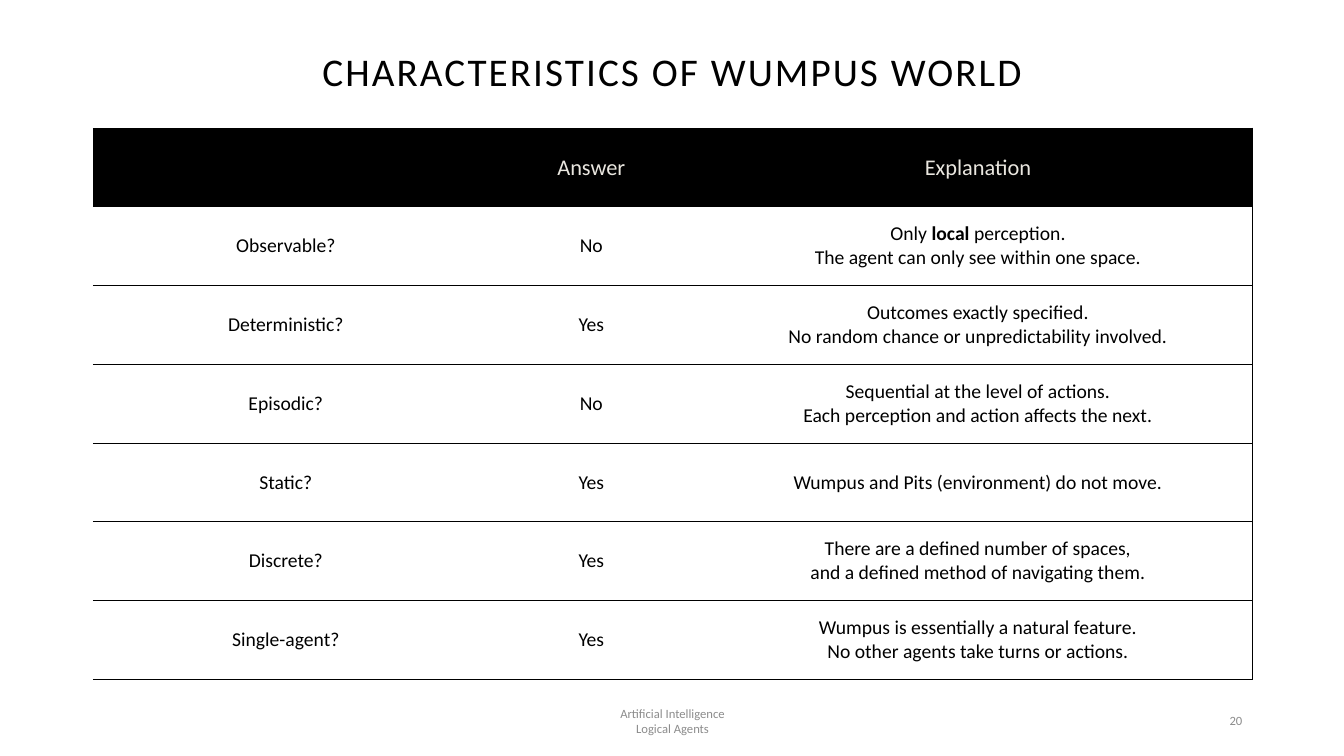
from pptx import Presentation
from pptx.dml.color import RGBColor
from pptx.enum import text
from pptx.oxml import parse_xml
from pptx.oxml.ns import nsdecls
from pptx.util import Inches, Pt

BLACK = RGBColor(0x00, 0x00, 0x00)
CREAM = RGBColor(0xE9, 0xE6, 0xDF)
GRAY = RGBColor(0x8C, 0x8C, 0x8C)
WHITE = RGBColor(0xFF, 0xFF, 0xFF)

TITLE = {"size": Pt(28), "color": BLACK}
HEADER = {"size": Pt(16), "color": CREAM}
BODY = {"size": Pt(14), "color": BLACK}
FOOTER = {"size": Pt(9), "color": GRAY}

COLUMN_WIDTHS = (3.83, 2.23, 5.44)
ROW_HEIGHT = 5.47 / 7
HEADINGS = ("", "Answer", "Explanation")
# Words between asterisks are bold.
CHARACTERISTICS = [
    ("Observable?", "No",
     "Only *local* perception.\nThe agent can only see within one space."),
    ("Deterministic?", "Yes",
     "Outcomes exactly specified.\nNo random chance or unpredictability involved."),
    ("Episodic?", "No",
     "Sequential at the level of actions.\nEach perception and action affects the next."),
    ("Static?", "Yes", "Wumpus and Pits (environment) do not move."),
    ("Discrete?", "Yes",
     "There are a defined number of spaces,\nand a defined method of navigating them."),
    ("Single-agent?", "Yes",
     "Wumpus is essentially a natural feature.\nNo other agents take turns or actions."),
]


class SlideBuilder:
    font_name = "Calibri"
    border_width = Pt(0.5)

    def __init__(self, deck):
        self.page = deck.slides.add_slide(deck.slide_layouts[6])
        self.page.background.fill.solid()
        self.page.background.fill.fore_color.rgb = WHITE

    def fill_text(self, frame, content, style, align=text.PP_ALIGN.CENTER):
        """Fill a text frame, one paragraph a line, with *bold* marks."""
        for index, line in enumerate(content.split("\n")):
            para = frame.add_paragraph() if index else frame.paragraphs[0]
            para.alignment = align
            for part, words in enumerate(line.split("*")):
                if not words:
                    continue
                span = para.add_run()
                span.text = words
                span.font.color.rgb = style["color"]
                formats = {"name": self.font_name, "size": style["size"], "bold": part % 2 == 1}
                for key, value in formats.items():
                    setattr(span.font, key, value)
        return frame

    def text_box(self, bounds, content, style, align=text.PP_ALIGN.CENTER):
        box = self.page.shapes.add_textbox(*map(Inches, bounds))
        box.text_frame.word_wrap = True
        box.text_frame.vertical_anchor = text.MSO_ANCHOR.MIDDLE
        return self.fill_text(box.text_frame, content, style, align)

    def title(self, bounds, content):
        para = self.text_box(bounds, content, TITLE).paragraphs[0]
        para.line_spacing = 0.9
        para.runs[0].font._element.set("spc", "150")

    def borders(self, cell, sides):
        """Draw the named sides in black and clear the others."""
        properties = cell._tc.get_or_add_tcPr()
        for side in "LRTB":
            paint = (f'<a:solidFill><a:srgbClr val="{BLACK}"/></a:solidFill>'
                     if side in sides else "<a:noFill/>")
            properties.append(parse_xml(
                f'<a:ln{side} {nsdecls("a")} w="{self.border_width}">{paint}</a:ln{side}>'))

    def table(self, left, top, rows):
        frame = self.page.shapes.add_table(
            len(rows), len(COLUMN_WIDTHS), Inches(left), Inches(top),
            Inches(sum(COLUMN_WIDTHS)), Inches(ROW_HEIGHT * len(rows)))
        grid = frame.table
        grid.first_row = grid.horz_banding = False
        for column, width in zip(grid.columns, COLUMN_WIDTHS):
            column.width = Inches(width)
        for row_index, row in enumerate(rows):
            grid.rows[row_index].height = Inches(ROW_HEIGHT)
            for column_index, content in enumerate(row):
                cell = grid.cell(row_index, column_index)
                cell.vertical_anchor = text.MSO_ANCHOR.MIDDLE
                self.borders(cell, "TBR" if column_index == len(row) - 1 else "TB")
                cell.fill.solid()
                cell.fill.fore_color.rgb = WHITE if row_index else BLACK
                self.fill_text(cell.text_frame, content, BODY if row_index else HEADER)


def main():
    deck = Presentation()
    deck.slide_width, deck.slide_height = Inches(13.33), Inches(7.5)
    slide = SlideBuilder(deck)
    slide.title((0.92, 0.4, 11.5, 0.67), "CHARACTERISTICS OF WUMPUS WORLD")
    slide.table(0.92, 1.27, [HEADINGS, *CHARACTERISTICS])
    slide.text_box((4.42, 6.95, 4.5, 0.4), "Artificial Intelligence\nLogical Agents", FOOTER)
    slide.text_box((9.42, 6.95, 3, 0.4), "20", FOOTER, text.PP_ALIGN.RIGHT)
    deck.save("out.pptx")


if __name__ == "__main__":
    main()
